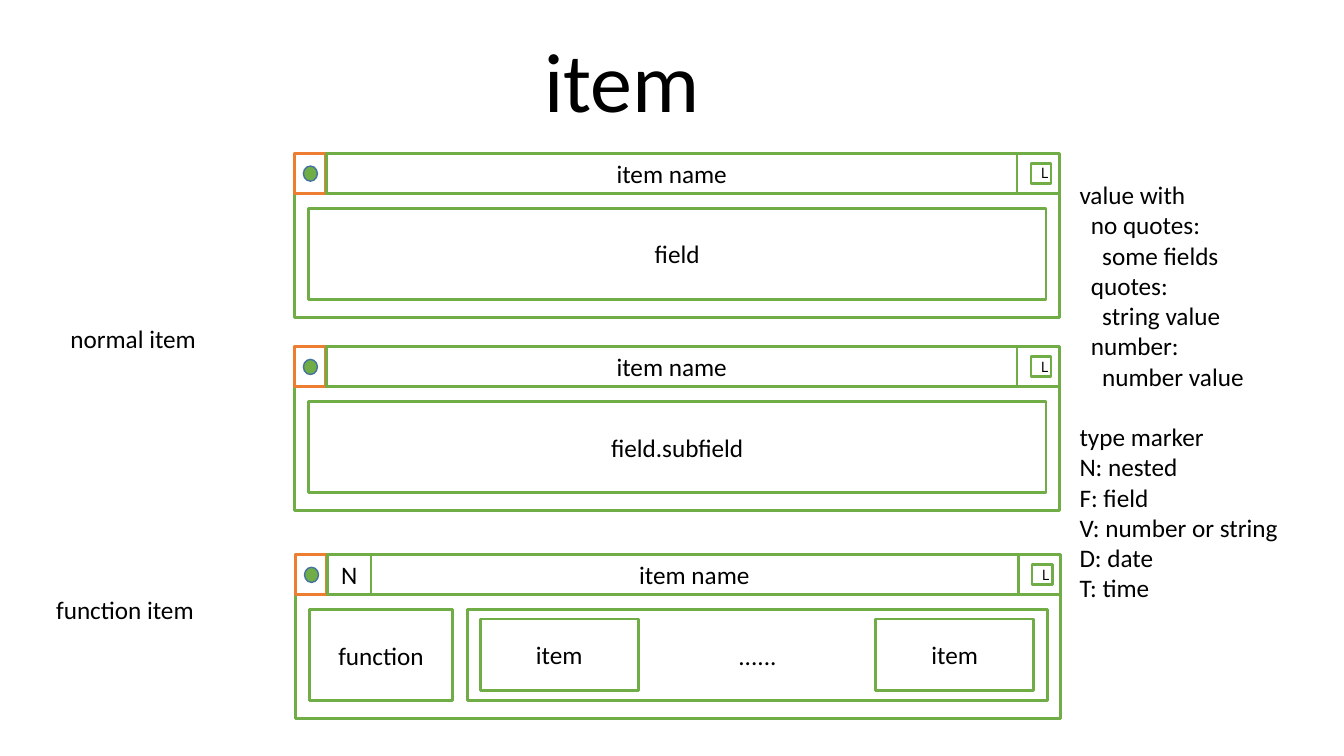
"""Build a slide showing the layout of normal and function items."""
from dataclasses import dataclass

import pptx
import pptx.dml.color
import pptx.enum.shapes
import pptx.enum.text
import pptx.slide
import pptx.text.text
import pptx.util

Pt = pptx.util.Pt
SHAPES = pptx.enum.shapes.MSO_SHAPE
GREEN, ORANGE, BLUE, WHITE, BLACK = "70AD47", "ED7D31", "43739E", "FFFFFF", "000000"


@dataclass(frozen=True)
class Cell:
    left: float
    top: float
    width: float
    height: float
    text: str = ""
    size: float = 18
    font: str = "Calibri"
    fill: str = WHITE
    line: str = GREEN
    weight: float = 2
    shape: pptx.enum.shapes.MSO_SHAPE = SHAPES.RECTANGLE


@dataclass(frozen=True)
class Card:
    left: float
    top: float
    cells: tuple[Cell, ...]


@dataclass(frozen=True)
class Line:
    text: str
    level: int = 0
    space_before: float = 0


@dataclass(frozen=True)
class Label:
    left: float
    top: float
    width: float
    height: float
    lines: tuple[Line, ...]
    size: float = 18


FRAME = (
    Cell(0, 18, 546.5, 99.4),
    Cell(0, 0, 546.5, 28.8),
    Cell(0, 0, 22.5, 28.8, line=ORANGE),
    Cell(6.5, 9.2, 10, 10.8, fill=GREEN, line=BLUE, weight=1, shape=SHAPES.OVAL),
    Cell(526.2, 7.2, 14.4, 14.4, "L", 10, "Noto Sans CJK SC"),
)
NORMAL_NAME = Cell(23, 0, 493.2, 28.8, "item name")
FUNCTION_CELLS = (
    Cell(53.5, 0, 463, 28.8, "item name"),
    Cell(23, 0, 31, 28.8, "N"),
    Cell(10, 39.4, 102.4, 65, "function"),
    Cell(123, 39.4, 414, 65, "......"),
    Cell(132, 46.2, 113, 51, "item"),
    Cell(414.5, 46.2, 113, 51, "item"),
)
CARDS = (
    Card(210.2, 109.4, (NORMAL_NAME, Cell(10, 39.4, 527, 65, "field"))),
    Card(210.2, 247.5, (NORMAL_NAME, Cell(10, 39.4, 527, 65, "field.subfield"))),
    Card(211, 396, FUNCTION_CELLS),
)
NOTES = (
    Line("value with"),
    Line("no quotes:", 1),
    Line("some fields", 2),
    Line("quotes:", 1),
    Line("string value", 2),
    Line("number:", 1),
    Line("number value", 2),
    Line("type marker", space_before=21.6),
    Line("N: nested"),
    Line("F: field"),
    Line("V: number or string"),
    Line("D: date"),
    Line("T: time"),
)
LABELS = (
    Label(381.6, 16.6, 150, 80, (Line("item"),), 60),
    Label(43.2, 227.5, 124, 28.8, (Line("normal item"),)),
    Label(33, 421.2, 134, 28.8, (Line("function item"),)),
    Label(764, 124.6, 195, 334, NOTES),
)


def color(value: str) -> pptx.dml.color.RGBColor:
    """Return the colour for a hex string."""
    return pptx.dml.color.RGBColor.from_string(value)


def style_text(font: pptx.text.text.Font, name: str, size: float) -> None:
    """Set the typeface and size of black text."""
    font.name = name
    font.size = Pt(size)
    font.color.rgb = color(BLACK)


def draw_cell(page: pptx.slide.Slide, card: Card, cell: Cell) -> None:
    """Draw one cell at its offset within a card."""
    box = page.shapes.add_shape(
        cell.shape, Pt(card.left + cell.left), Pt(card.top + cell.top), Pt(cell.width), Pt(cell.height)
    )
    box.shadow.inherit = False
    box.fill.solid()
    box.fill.fore_color.rgb = color(cell.fill)
    box.line.color.rgb = color(cell.line)
    box.line.width = Pt(cell.weight)
    if cell.text:
        frame = box.text_frame
        frame.word_wrap = True
        frame.vertical_anchor = pptx.enum.text.MSO_ANCHOR.MIDDLE
        para = frame.paragraphs[0]
        para.text = cell.text
        para.alignment = pptx.enum.text.PP_ALIGN.CENTER
        style_text(para.font, cell.font, cell.size)


def draw_label(page: pptx.slide.Slide, label: Label) -> None:
    """Draw a text box with one paragraph per line."""
    box = page.shapes.add_textbox(Pt(label.left), Pt(label.top), Pt(label.width), Pt(label.height))
    frame = box.text_frame
    frame.word_wrap = True
    for index, line in enumerate(label.lines):
        para = frame.add_paragraph() if index else frame.paragraphs[0]
        para.text = line.text
        para.space_before = Pt(line.space_before)
        style_text(para.font, "Calibri", label.size)
        para._p.get_or_add_pPr().set("marL", str(Pt(8.1 * line.level)))


def main() -> None:
    """Create the deck and save it."""
    deck = pptx.Presentation()
    deck.slide_width, deck.slide_height = Pt(960), Pt(540)
    page = deck.slides.add_slide(deck.slide_layouts[6])
    for card in CARDS:
        for cell in FRAME + card.cells:
            draw_cell(page, card, cell)
    for label in LABELS:
        draw_label(page, label)
    deck.save("out.pptx")


if __name__ == "__main__":
    main()
